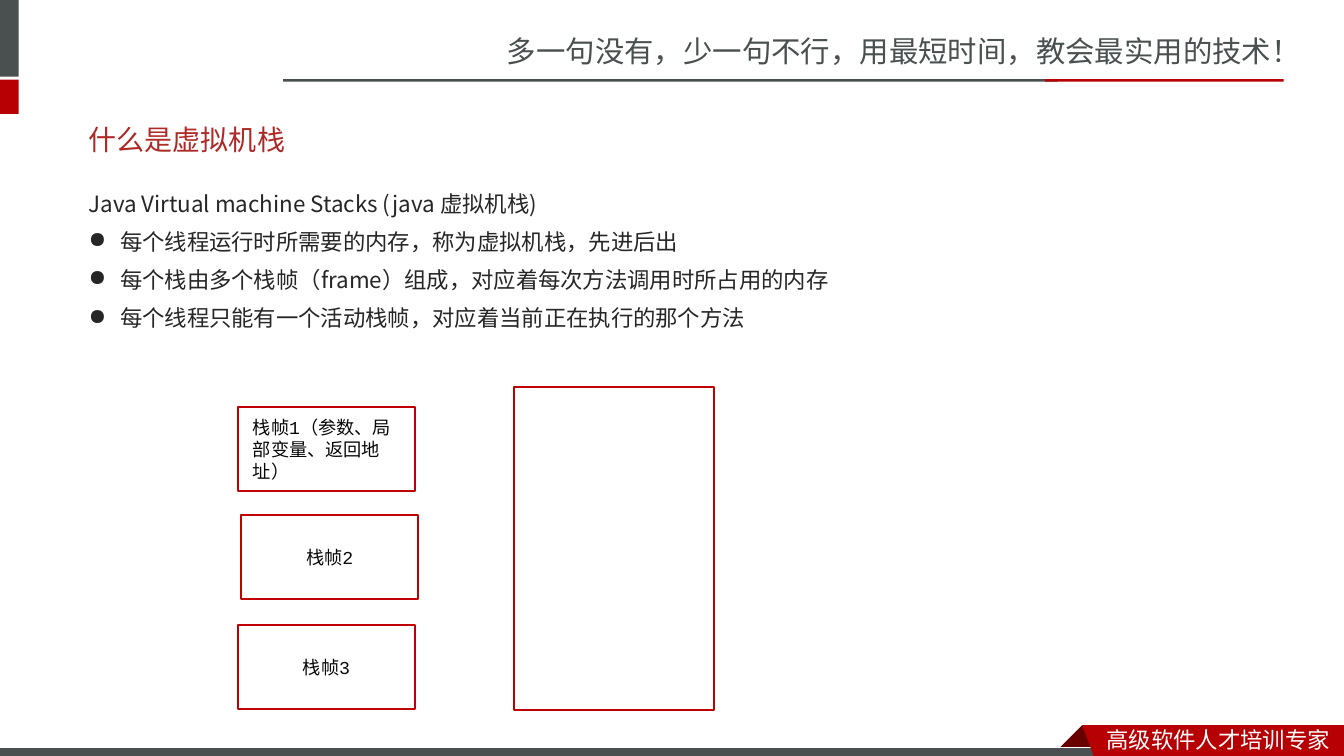
from lxml.etree import SubElement
from pptx import Presentation
from pptx.dml.color import RGBColor
from pptx.enum.shapes import MSO_SHAPE
from pptx.enum.text import MSO_ANCHOR, MSO_AUTO_SIZE, PP_ALIGN
from pptx.oxml.ns import qn
from pptx.util import Pt

COLORS = {
    "white": "FFFFFF", "gray": "49504F", "red": "B60004", "dark_red": "680000",
    "title": "AD2A26", "body": "262626", "frame": "C00000", "label": "080808",
}
HEADER_FONT = "Noto Sans CJK SC"
BODY_FONT = "Noto Sans CJK JP"
BULLETS = [
    "每个线程运行时所需要的内存，称为虚拟机栈，先进后出",
    "每个栈由多个栈帧（frame）组成，对应着每次方法调用时所占用的内存",
    "每个线程只能有一个活动栈帧，对应着当前正在执行的那个方法",
]


def rgb(name):
    return RGBColor.from_string(COLORS[name])


def style_runs(tf, size, font, color):
    """Format all runs, with one font for Latin and East Asian text."""
    for p in tf.paragraphs:
        for r in p.runs:
            r.font.size = Pt(size)
            r.font.name = font
            r.font.color.rgb = rgb(color)
            SubElement(r.font._element, qn("a:ea"), typeface=font)


def paint(sp, fill=None, line=None, width=0.75):
    sp.shadow.inherit = False
    if fill:
        sp.fill.solid()
        sp.fill.fore_color.rgb = rgb(fill)
    else:
        sp.fill.background()
    if line:
        sp.line.color.rgb = rgb(line)
        sp.line.width = Pt(width)
    else:
        sp.line.fill.background()


def add_rect(s, x, y, w, h, **look):
    sp = s.shapes.add_shape(MSO_SHAPE.RECTANGLE, Pt(x), Pt(y), Pt(w), Pt(h))
    paint(sp, **look)
    return sp


def add_polygon(s, points, fill):
    builder = s.shapes.build_freeform(*points[0], scale=Pt(1))
    builder.add_line_segments(points[1:], close=True)
    paint(builder.convert_to_shape(), fill)


def add_text(s, text, x, y, w, h, size, font, color):
    tf = s.shapes.add_textbox(Pt(x), Pt(y), Pt(w), Pt(h)).text_frame
    tf.word_wrap = True
    tf.text = text
    style_runs(tf, size, font, color)


def add_title(s, text):
    sp = s.shapes.title
    sp.left, sp.top, sp.width, sp.height = Pt(56.2), Pt(79.2), Pt(842.4), Pt(41)
    tf = sp.text_frame
    tf.text = text
    tf.auto_size = MSO_AUTO_SIZE.NONE
    tf.vertical_anchor = MSO_ANCHOR.MIDDLE
    tf.paragraphs[0].alignment = PP_ALIGN.LEFT
    style_runs(tf, 20, "Lato", "title")


def add_body(s, lead, bullets):
    tf = s.shapes.add_textbox(Pt(56.2), Pt(128.2), Pt(842.4), Pt(160.6)).text_frame
    tf.word_wrap = True
    tf.text = lead
    tf.paragraphs[0].line_spacing = 1.2
    for text in bullets:
        p = tf.add_paragraph()
        p.text = text
        pPr = p._p.get_or_add_pPr()
        pPr.set("marL", str(Pt(22.5)))
        pPr.set("indent", str(Pt(-22.5)))
        SubElement(pPr, qn("a:buChar"), char="●")
        p.line_spacing = 1.2
        p.space_before = Pt(4.3)
    style_runs(tf, 16, BODY_FONT, "body")


def add_stack_frame(s, text, x, y, align):
    sp = add_rect(s, x, y, 126.7, 60, line="frame", width=1.5)
    tf = sp.text_frame
    tf.word_wrap = True
    tf.margin_left = Pt(10.8)
    tf.margin_right = Pt(10.8)
    tf.vertical_anchor = MSO_ANCHOR.MIDDLE
    tf.text = text
    tf.paragraphs[0].alignment = align
    style_runs(tf, 13, "Courier New", "label")


def add_header(s):
    add_text(s, "多一句没有，少一句不行，用最短时间，教会最实用的技术！",
             355, 20.2, 605.5, 33.8, 21, HEADER_FONT, "gray")
    add_rect(s, -4.3, 0, 17.7, 54.7, fill="gray")
    add_rect(s, -4.3, 56.9, 17.6, 24.5, fill="red")
    add_rect(s, 202.3, 56.6, 553, 1.7, fill="gray")
    add_rect(s, 746.6, 56.6, 170.4, 1.7, fill="red")


def add_footer(s):
    add_polygon(s, [(772.6, 518.4), (788.4, 534.2), (787.7, 535),
                    (757.4, 535), (756.7, 534.2)], "dark_red")
    add_rect(s, -0.7, 533.9, 792, 8.6, fill="gray", line="white")
    add_polygon(s, [(772.6, 518.4), (960, 518.4), (960, 542.9), (782, 542.2)], "red")
    add_text(s, "高级软件人才培训专家", 783.4, 514.8, 176.6, 26.6, 16, HEADER_FONT, "white")


def main():
    prs = Presentation()
    prs.slide_width, prs.slide_height = Pt(960), Pt(540)
    s = prs.slides.add_slide(prs.slide_layouts[5])
    add_header(s)
    add_footer(s)
    add_title(s, "什么是虚拟机栈")
    add_body(s, "Java Virtual machine Stacks (java 虚拟机栈)", BULLETS)
    add_rect(s, 367.2, 276.5, 142.6, 230.4, line="frame", width=1.5)
    add_stack_frame(s, "栈帧3", 169.9, 446.4, PP_ALIGN.CENTER)
    add_stack_frame(s, "栈帧2", 172.1, 367.9, PP_ALIGN.CENTER)
    add_stack_frame(s, "栈帧1（参数、局部变量、返回地址）", 169.9, 290.9, PP_ALIGN.LEFT)
    prs.save("out.pptx")


if __name__ == "__main__":
    main()
